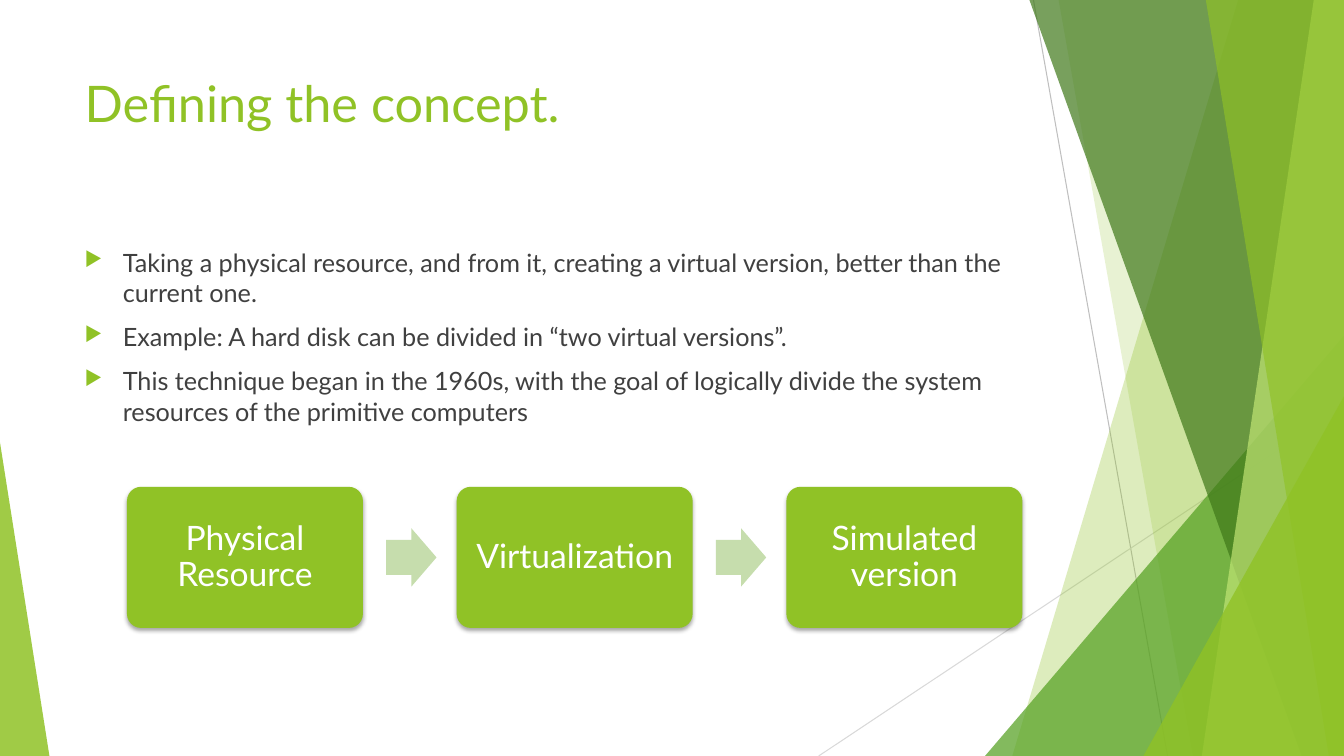
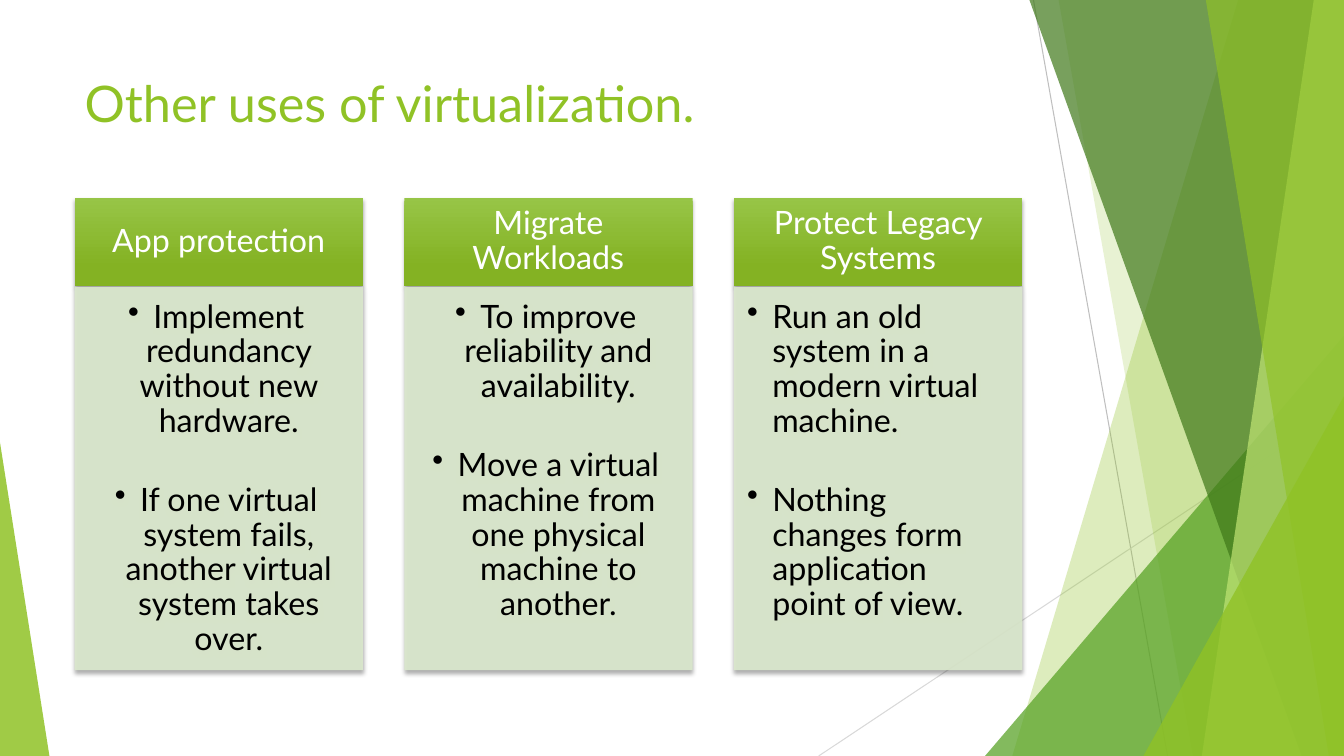
"""Build two slides on virtualization over a shared faceted green layout."""
from lxml import etree
from pptx import Presentation
from pptx.dml.color import RGBColor
from pptx.enum import shapes, text
from pptx.oxml import ns
from pptx.util import Inches, Pt

FONT = "Lato"
WHITE = RGBColor(0xFF, 0xFF, 0xFF)
BLACK = RGBColor(0x00, 0x00, 0x00)
CHARCOAL = RGBColor(0x40, 0x40, 0x40)
GREEN = RGBColor(0x90, 0xC2, 0x26)
LEAF = RGBColor(0x54, 0xA0, 0x21)
FOREST = RGBColor(0x3F, 0x78, 0x19)
LIME = RGBColor(0xC0, 0xE4, 0x74)
SAGE = RGBColor(0xC6, 0xDD, 0xAD)
MIST = RGBColor(0xDB, 0xE9, 0xCD)
HEADER_TOP = RGBColor(0x97, 0xC5, 0x47)
HEADER_BOTTOM = RGBColor(0x84, 0xB2, 0x23)
RULE_DARK = RGBColor(0xBF, 0xBF, 0xBF)
RULE_LIGHT = RGBColor(0xD9, 0xD9, 0xD9)
WIDTH, HEIGHT = 13.33, 7.5
COLUMN_STEP = 3.27
TRIANGLE = shapes.MSO_SHAPE.ISOSCELES_TRIANGLE


def paint(shape, colour, opacity=100, shadow=False):
    """Give a shape a borderless solid fill and, if asked, a soft drop shadow."""
    shape.fill.solid()
    shape.fill.fore_color.rgb = colour
    shape.line.fill.background()
    shape.shadow.inherit = False
    properties = shape.element.spPr
    if opacity < 100:
        tone = properties.find(ns.qn("a:solidFill"))[0]
        etree.SubElement(tone, ns.qn("a:alpha"), val=str(opacity * 1000))
    if shadow:
        outer = etree.SubElement(properties.find(ns.qn("a:effectLst")), ns.qn("a:outerShdw"),
                                 blurRad=str(Pt(3)), dist=str(Pt(2)), dir="5400000", rotWithShape="0")
        black = etree.SubElement(outer, ns.qn("a:srgbClr"), val=str(BLACK))
        etree.SubElement(black, ns.qn("a:alpha"), val="35000")


def write(shape, lines, size, colour, align, anchor, margins, bullet=None, indent=0, bullet_colour=None):
    """Fill a shape with evenly formatted paragraphs and return them."""
    frame = shape.text_frame
    frame.word_wrap = True
    frame.vertical_anchor = anchor
    frame.margin_left, frame.margin_top, frame.margin_right, frame.margin_bottom = map(Inches, margins)
    frame.text = "\n".join(lines)
    for para in frame.paragraphs:
        para.alignment = align
        if bullet:
            layout_of_para = para._p.get_or_add_pPr()
            layout_of_para.set("marL", str(Inches(indent)))
            layout_of_para.set("indent", str(-Inches(indent)))
            if bullet_colour:
                tone = etree.SubElement(layout_of_para, ns.qn("a:buClr"))
                etree.SubElement(tone, ns.qn("a:srgbClr"), val=str(bullet_colour))
                etree.SubElement(layout_of_para, ns.qn("a:buSzPct"), val="80000")
            etree.SubElement(layout_of_para, ns.qn("a:buChar"), char=bullet)
        para.font.name = FONT
        para.font.size = Pt(size)
        para.font.color.rgb = colour
    return frame.paragraphs


deck = Presentation()
deck.slide_width, deck.slide_height = Inches(WIDTH), Inches(HEIGHT)
layout = deck.slide_layouts[5]
pages = []
for heading in ("Defining the concept.", "Other uses of virtualization."):
    page = deck.slides.add_slide(layout)
    title = page.shapes.title
    title.left, title.top, title.width, title.height = map(Inches, (0.74, 0.67, 9.4, 1.44))
    write(title, [heading], 36, GREEN, text.PP_ALIGN.LEFT, text.MSO_ANCHOR.TOP, (0.1, 0.05, 0.1, 0.05))
    pages.append(page)
concept, uses = pages

backdrop = []
for x1, y1, x2, y2, colour in ((10.25, 0, 11.58, HEIGHT, RULE_DARK), (WIDTH, 4.03, 8.12, HEIGHT, RULE_LIGHT)):
    rule = concept.shapes.add_connector(shapes.MSO_CONNECTOR.STRAIGHT, *map(Inches, (x1, y1, x2, y2)))
    rule.line.color.rgb = colour
    rule.line.width = Pt(0.75)
    etree.SubElement(rule.element.spPr, ns.qn("a:effectLst"))
    backdrop.append(rule)

facets = (
    ("band", 12.28, 10.04, GREEN, 30),
    ("band", 10.5, 11.83, GREEN, 20),
    ("corner", 9.77, 3.33, LEAF, 72),
    ("band", 10.21, 12.91, FOREST, 70),
    ("band", 13.03, 11.92, LIME, 70),
    ("band", 11.96, 13.18, GREEN, 65),
    ("corner", 11.34, 3.93, GREEN, 80),
)
for kind, first, second, colour, opacity in facets:
    if kind == "band":
        outline = concept.shapes.build_freeform(Inches(first), 0)
        corners = ((WIDTH, 0), (WIDTH, HEIGHT), (second, HEIGHT))
        outline.add_line_segments([(Inches(x), Inches(y)) for x, y in corners])
        facet = outline.convert_to_shape()
    else:
        facet = concept.shapes.add_shape(
            TRIANGLE, *map(Inches, (first, second, WIDTH - first, HEIGHT - second)))
        facet.adjustments[0] = 1
    paint(facet, colour, opacity)
    backdrop.append(facet)
left_wedge = concept.shapes.add_shape(TRIANGLE, *map(Inches, (0, 4.39, 0.49, 3.11)))
left_wedge.adjustments[0] = 0
paint(left_wedge, GREEN, 85)
backdrop.append(left_wedge)

for number, shape in enumerate(backdrop, 20):
    shape.element.xpath("./*/p:cNvPr")[0].set("id", str(number))
    layout.shapes.element.append(shape.element)

points = (
    "Taking a physical resource, and from it, creating a virtual version, better than the current one.",
    "Example: A hard disk can be divided in “two virtual versions”.",
    "This technique began in the 1960s, with the goal of logically divide the system resources "
    "of the primitive computers",
)
body = concept.shapes.add_textbox(*map(Inches, (0.74, 2.4, 9.4, 2.2)))
for para in write(body, points, 18, CHARCOAL, text.PP_ALIGN.LEFT, text.MSO_ANCHOR.TOP,
                  (0.1, 0.05, 0.1, 0.05), "▶", 0.38, GREEN):
    para.space_before = Pt(10)

steps = ("Physical Resource", "Virtualization", "Simulated version")
for index, label in enumerate(steps):
    left = 1.26 + index * COLUMN_STEP
    box = concept.shapes.add_shape(
        shapes.MSO_SHAPE.ROUNDED_RECTANGLE, *map(Inches, (left, 4.83, 2.34, 1.4)))
    box.adjustments[0] = 0.1
    paint(box, GREEN, shadow=True)
    write(box, [label], 24, WHITE, text.PP_ALIGN.CENTER, text.MSO_ANCHOR.MIDDLE,
          (0.1, 0.1, 0.1, 0.1))[0].line_spacing = 0.9
    if index < len(steps) - 1:
        arrow = concept.shapes.add_shape(
            shapes.MSO_SHAPE.RIGHT_ARROW, *map(Inches, (left + 2.57, 5.24, 0.5, 0.58)))
        arrow.adjustments[0] = 0.6
        paint(arrow, SAGE)

columns = (
    ("App protection", text.PP_ALIGN.CENTER,
     ("Implement redundancy without new hardware.",
      "If one virtual system fails, another virtual system takes over.")),
    ("Migrate Workloads", text.PP_ALIGN.CENTER,
     ("To improve reliability and availability.",
      "Move a virtual machine from one physical machine to another.")),
    ("Protect Legacy Systems", text.PP_ALIGN.LEFT,
     ("Run an old system in a modern virtual machine.",
      "Nothing changes form application point of view.")),
)
for index, (label, align, benefits) in enumerate(columns):
    left = 0.74 + index * COLUMN_STEP
    header = uses.shapes.add_shape(shapes.MSO_SHAPE.RECTANGLE, *map(Inches, (left, 1.96, 2.86, 0.88)))
    paint(header, GREEN, shadow=True)
    header.fill.gradient()
    header.fill.gradient_angle = 270
    for stop, colour, position in zip(header.fill.gradient_stops, (HEADER_TOP, HEADER_BOTTOM), (0, 0.78)):
        stop.color.rgb = colour
        stop.position = position
    write(header, [label], 23, WHITE, text.PP_ALIGN.CENTER, text.MSO_ANCHOR.MIDDLE,
          (0.18, 0.1, 0.18, 0.1))[0].line_spacing = 0.9

    panel = uses.shapes.add_shape(shapes.MSO_SHAPE.RECTANGLE, *map(Inches, (left, 2.85, 2.86, 3.8)))
    paint(panel, MIST, 90, shadow=True)
    paragraphs = write(panel, benefits, 23, BLACK, align, text.MSO_ANCHOR.TOP,
                       (0.13, 0.13, 0.18, 0.2), "•", 0.25)
    for para in paragraphs:
        para.line_spacing = 0.9
    paragraphs[0].space_after = Pt(31.6)

deck.save("out.pptx")
